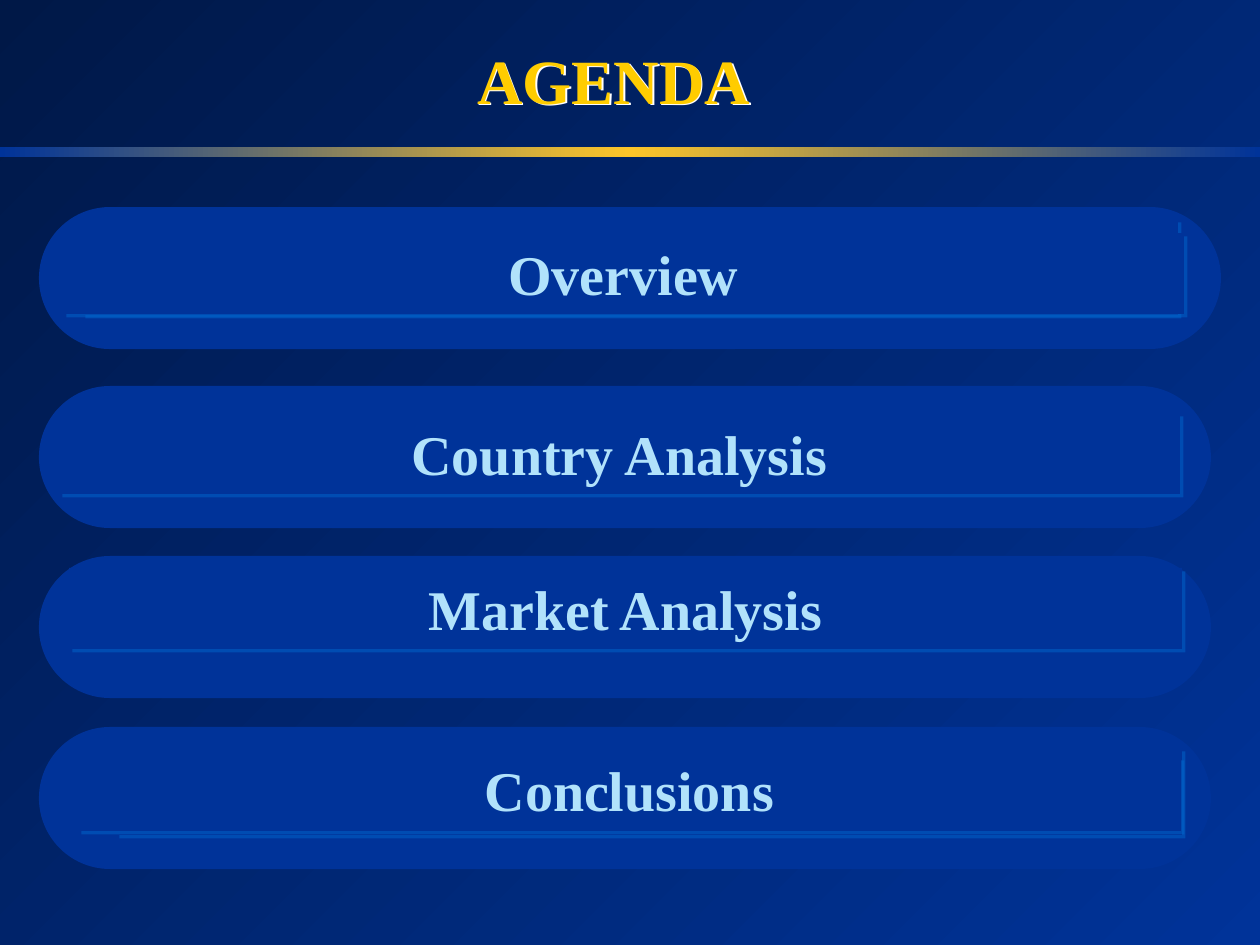
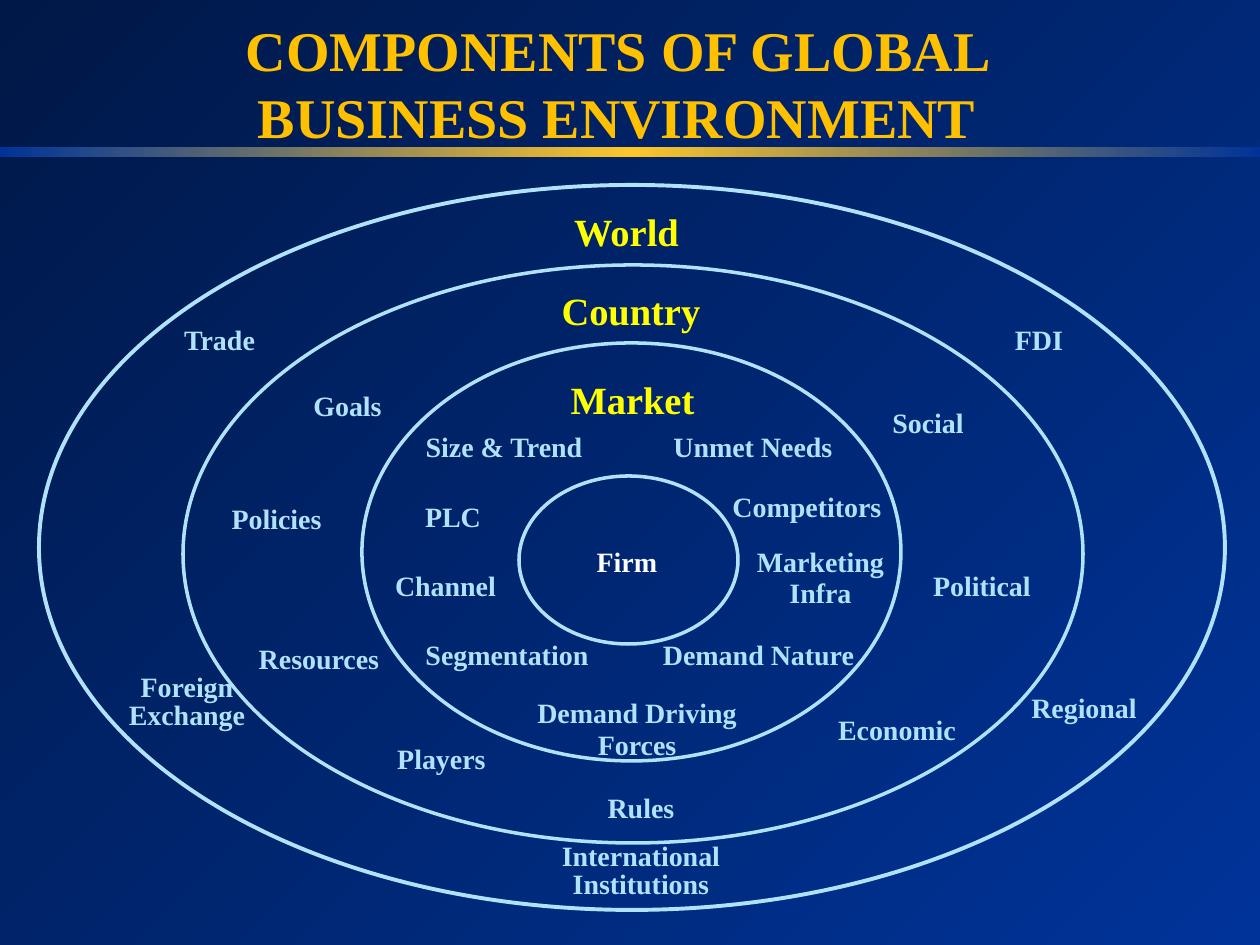
from copy import deepcopy

from lxml import etree
from pptx import Presentation
from pptx import util as u
from pptx.dml.color import RGBColor
from pptx.enum import shapes as kinds
from pptx.enum import text as t
from pptx.oxml.ns import qn

# Shared look
PX = u.Inches(1) / 126
WIDTH, HEIGHT = 1260, 945
FONT = "Times New Roman"
COLORS = {
    "night": "001847",
    "blue": "003399",
    "edge": "0066CC",
    "gold": "FDC529",
    "agenda": "FFCC00",
    "title": "FFC000",
    "ice": "B1E2FB",
    "yellow": "FFFF00",
    "white": "FFFFFF",
}
SHAPE = kinds.MSO_SHAPE

# Agenda: top of each bar, its width, then its plates (box, wording, line spacing)
BARS = [
    (207, 1182, [((82, 219, 1096, 96), "", 1), ((63, 233, 1121, 81), "Overview", 1)]),
    (386, 1172, [((59, 413, 1121, 81), "Country Analysis", 1)]),
    (556, 1172, [((69, 568, 1113, 81), "Market Analysis", 1)]),
    (727, 1172, [((116, 748, 1066, 87), "", 1), ((78, 757, 1103, 74), "Conclusions", 0.9)]),
]

# Environment: rings from the firm outwards (box, line width)
RINGS = [
    ((519, 476, 219, 168), 2),
    ((362, 343, 539, 418), 2),
    ((183, 265, 900, 578), 2),
    ((39, 185, 1186, 725), 2.25),
]
LEVELS = [("World", 561, 202, 131), ("Country", 548, 281, 166), ("Market", 557, 370, 151)]
FACTORS = [
    # World
    ("Trade", 171, 316, 97), ("FDI", 1002, 316, 74), ("Regional", 1018, 684, 132),
    # Country
    ("Goals", 300, 382, 95), ("Policies", 218, 495, 117),
    ("Social", 879, 399, 98), ("Political", 868, 562, 228),
    # Market
    ("Size & Trend", 412, 423, 184), ("Unmet Needs", 660, 423, 186),
    ("PLC", 412, 493, 82), ("Competitors", 719, 483, 176),
    ("Channel", 382, 562, 127), ("Segmentation", 412, 631, 190),
    ("Demand Nature", 649, 631, 219),
]
TIGHT_FACTORS = [
    ("Resources", 258, 641, 122), ("Players", 397, 741, 89),
    ("Rules", 607, 790, 68), ("Economic", 837, 712, 120),
]
# Two-line factors: wording, box, line pitch in points
PAIRS = [
    ("Demand Driving\nForces", (520, 703, 234, 67), 10),
    ("Marketing\nInfra", (740, 552, 161, 66), 10),
    ("Foreign\nExchange", (115, 680, 144, 60), 8),
    ("International\nInstitutions", (548, 849, 186, 60), 8),
]


def emu(box):
    return [u.Emu(round(length * PX)) for length in box]


def rgb(name):
    return RGBColor.from_string(COLORS[name])


def add_gradient(fill, holder, names, angle):
    """Spread the named colours evenly along a linear gradient."""
    fill.gradient()
    fill.gradient_angle = angle
    stop_list = next(holder.iter(qn("a:gsLst")))
    for _ in names[2:]:
        stop_list.append(deepcopy(stop_list[0]))
    for index, (stop, name) in enumerate(zip(fill.gradient_stops, names)):
        stop.position = index / (len(names) - 1)
        stop.color.rgb = rgb(name)


def add_shadow(shape, name, distance, alpha):
    """Give a shape a hard shadow towards the lower right."""
    shape.shadow.inherit = False
    effects = shape._element.spPr.find(qn("a:effectLst"))
    shadow = etree.SubElement(effects, qn("a:outerShdw"), blurRad="0",
                              dist=str(u.Pt(distance)), dir="2700000",
                              algn="ctr", rotWithShape="0")
    color = etree.SubElement(shadow, qn("a:srgbClr"), val=COLORS[name])
    etree.SubElement(color, qn("a:alpha"), val=str(alpha * 1000))


def add_block(shapes, kind, box, fill=None, alpha=100):
    shape = shapes.add_shape(kind, *emu(box))
    shape.shadow.inherit = False
    shape.line.fill.background()
    if fill is None:
        shape.fill.background()
        return shape
    shape.fill.solid()
    shape.fill.fore_color.rgb = rgb(fill)
    if alpha < 100:
        color = next(shape._element.spPr.iter(qn("a:srgbClr")))
        etree.SubElement(color, qn("a:alpha"), val=str(alpha * 1000))
    return shape


def write(shape, wording, size, color, anchor=t.MSO_ANCHOR.MIDDLE, wrap=True,
          spacing=None, gap=0):
    """Fill a shape with centred bold text, one paragraph a line."""
    frame = shape.text_frame
    frame.text = wording
    frame.word_wrap = wrap
    frame.vertical_anchor = anchor
    for index, para in enumerate(frame.paragraphs):
        para.alignment = t.PP_ALIGN.CENTER
        if spacing:
            para.line_spacing = spacing
        if gap and index:
            para.space_before = u.Pt(gap)
        for span in para.runs:
            span.font.name = FONT
            span.font.size = u.Pt(size)
            span.font.bold = True
            span.font.color.rgb = rgb(color)


def add_text(page, box, wording, size, color, **style):
    shape = page.shapes.add_textbox(*emu(box))
    write(shape, wording, size, color, **style)
    return shape


def add_page(deck):
    """Blank page with the shared background and the gold band."""
    page = deck.slides.add_slide(deck.slide_layouts[6])
    add_gradient(page.background.fill, page._element, ["night", "blue"], 315)
    band = add_block(page.shapes, SHAPE.RECTANGLE, (0, 147, WIDTH, 10))
    add_gradient(band.fill, band._element, ["blue", "gold", "blue"], 0)
    return page


def add_bar(page, top, width, plates):
    """Rounded bar with its inner pill and shadowed text plates."""
    shapes = page.shapes.add_group_shape().shapes
    pills = [((39, top, width, 142), 100), ((60, top + 13, width - 36, 117), 50)]
    for box, alpha in pills:
        pill = add_block(shapes, SHAPE.ROUNDED_RECTANGLE, box, "blue", alpha)
        pill.adjustments[0] = 0.5
    for box, wording, spacing in plates:
        plate = add_block(shapes, SHAPE.RECTANGLE, box, "blue")
        add_shadow(plate, "edge", 2.8, 50)
        if wording:
            write(plate, wording, 32, "ice", anchor=t.MSO_ANCHOR.TOP, spacing=spacing)


def add_ring(page, box, weight):
    ring = add_block(page.shapes, SHAPE.OVAL, box)
    ring.line.color.rgb = rgb("ice")
    ring.line.width = u.Pt(weight)


def build_agenda(deck):
    page = add_page(deck)
    title = add_text(page, (422, 35, 384, 88), "AGENDA", 36, "agenda",
                     anchor=t.MSO_ANCHOR.TOP)
    add_shadow(title, "white", 1, 100)
    for bar in BARS:
        add_bar(page, *bar)


def build_environment(deck):
    page = add_page(deck)
    add_text(page, (97, 44, 1040, 78), "COMPONENTS OF GLOBAL BUSINESS ENVIRONMENT",
             32, "title")
    for ring in RINGS:
        add_ring(page, *ring)

    # Names of the levels
    add_text(page, (576, 538, 102, 47), "Firm", 16, "white")
    for wording, left, top, width in LEVELS:
        add_text(page, (left, top, width, 59), wording, 22, "yellow", wrap=False)

    # Factors within each level
    for wording, left, top, width in FACTORS:
        add_text(page, (left, top, width, 47), wording, 16, "ice", wrap=False)
    for wording, left, top, width in TIGHT_FACTORS:
        label = add_text(page, (left, top, width, 34), wording, 16, "ice", wrap=False)
        frame = label.text_frame
        frame.margin_left = frame.margin_right = 0
        frame.margin_top = frame.margin_bottom = 0
    for wording, box, pitch in PAIRS:
        add_text(page, box, wording, 16, "ice", wrap=False,
                 spacing=u.Pt(pitch), gap=8)


def main():
    deck = Presentation()
    deck.slide_width, deck.slide_height = emu((WIDTH, HEIGHT))
    build_agenda(deck)
    build_environment(deck)
    deck.save("out.pptx")


if __name__ == "__main__":
    main()
